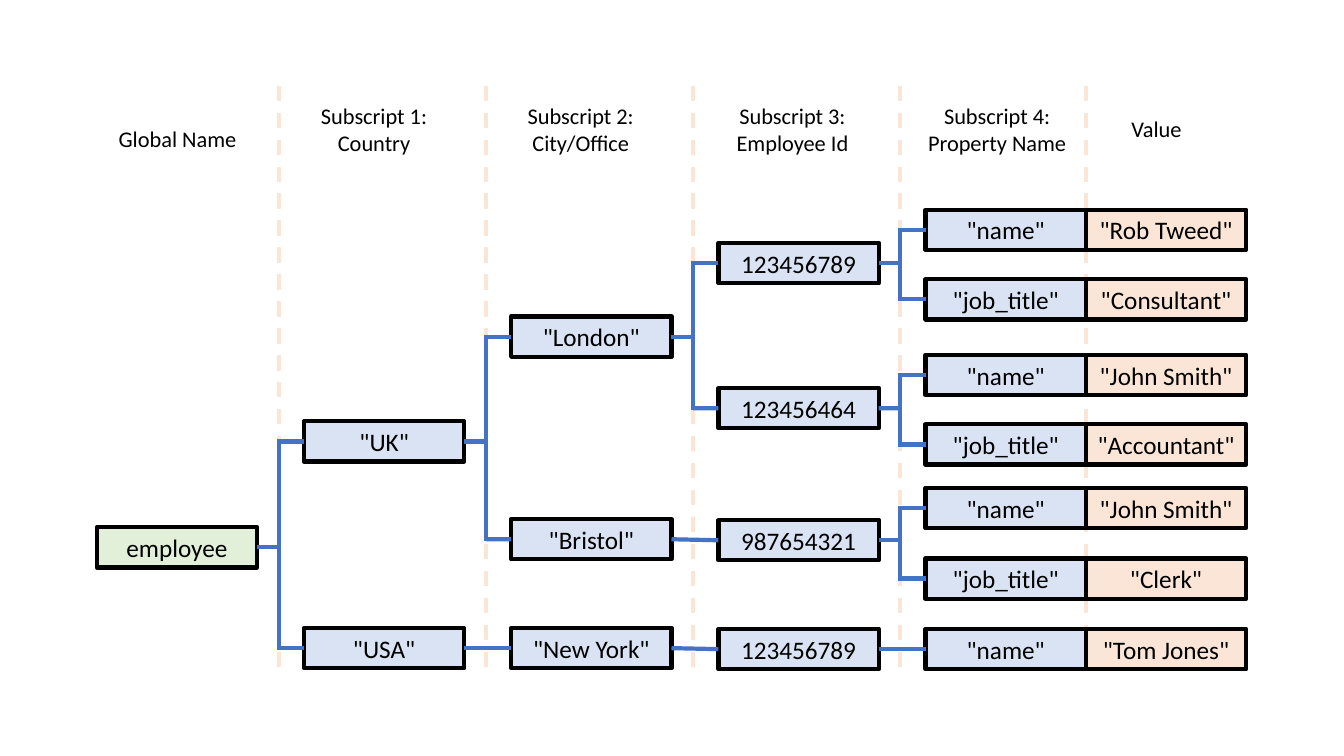
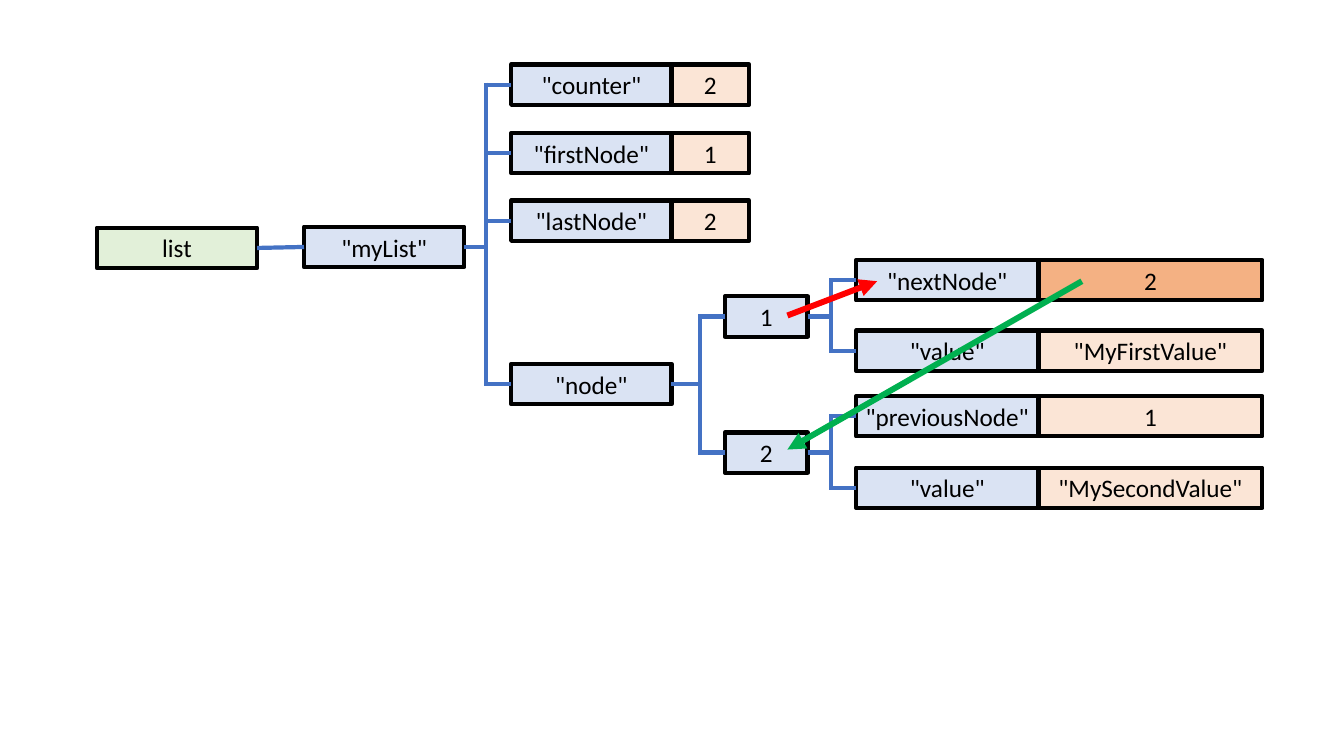
"""Build two tree diagrams of stored records: an employee global and a linked list."""
import dataclasses

import pptx
import pptx.dml.color
import pptx.enum.dml
import pptx.enum.shapes
import pptx.enum.text
import pptx.oxml
import pptx.oxml.ns
import pptx.util


@dataclasses.dataclass
class Theme:
    font: str = "Calibri"
    header_size: int = 16
    box_size: int = 18
    ink: str = "000000"
    root: str = "E2F0D9"
    key: str = "DAE3F3"
    value: str = "FBE5D6"
    marked: str = "F4B183"
    link: str = "4472C4"
    red: str = "FF0000"
    green: str = "00B050"
    line: float = 3
    divider: float = 2.75
    arrow: float = 4.25


@dataclasses.dataclass
class Node:
    label: str
    y: float
    kids: tuple = ()
    value: str = ""
    value_fill: str = Theme.value


WIDTH, HEIGHT = 13.33, 7.5
BOX_H, BOX_W, PITCH, TRUNK_GAP = 0.4, 1.59, 2.055, 0.25
GRID = [(0.96 + PITCH * i, BOX_W) for i in range(5)]

EMPLOYEES = {
    "columns": GRID,
    "value_widths": {4: BOX_W},
    "tree": Node("employee", 5.43, (
        Node('"UK"', 4.38, (
            Node('"London"', 3.34, (
                Node("123456789", 2.61, (
                    Node('"name"', 2.28, value='"Rob Tweed"'),
                    Node('"job_title"', 2.97, value='"Consultant"'))),
                Node("123456464", 4.05, (
                    Node('"name"', 3.72, value='"John Smith"'),
                    Node('"job_title"', 4.41, value='"Accountant"'))))),
            Node('"Bristol"', 5.35, (
                Node("987654321", 5.36, (
                    Node('"name"', 5.04, value='"John Smith"'),
                    Node('"job_title"', 5.74, value='"Clerk"'))),)))),
        Node('"USA"', 6.43, (
            Node('"New York"', 6.43, (
                Node("123456789", 6.44, (
                    Node('"name"', 6.44, value='"Tom Jones"'),)),)),)))),
}

LINKED_LIST = {
    "columns": GRID[:3] + [(7.19, 0.82), (8.49, 1.81)],
    "value_widths": {2: 0.77, 4: 2.22},
    "tree": Node("list", 2.46, (
        Node('"myList"', 2.45, (
            Node('"counter"', 0.84, value="2"),
            Node('"firstNode"', 1.52, value="1"),
            Node('"lastNode"', 2.19, value="2"),
            Node('"node"', 3.81, (
                Node("1", 3.14, (
                    Node('"nextNode"', 2.78, value="2", value_fill=Theme.marked),
                    Node('"value"', 3.48, value='"MyFirstValue"'))),
                Node("2", 4.49, (
                    Node('"previousNode"', 4.13, value="1"),
                    Node('"value"', 4.84, value='"MySecondValue"'))))))),)),
}

HEADERS = [
    (1.76, 1.37, "Global Name"),
    (3.71, 1.28, "Subscript 1:\nCountry"),
    (5.76, 1.28, "Subscript 2:\nCity/Office"),
    (7.86, 1.28, "Subscript 3:\nEmployee Id"),
    (9.89, 1.28, "Subscript 4:\nProperty Name"),
    (11.47, 1.28, "Value"),
]
DIVIDER_TOP, DIVIDER_BOTTOM = 0.85, 6.7
POINTERS = [
    ((7.81, 3.13), (8.7, 2.79), Theme.red),
    ((10.73, 2.79), (7.81, 4.46), Theme.green),
]


def rgb(color):
    """Turn a hex string into a colour."""
    return pptx.dml.color.RGBColor.from_string(color)


def write(sp, text, size):
    """Put centred text into a shape."""
    tf = sp.text_frame
    tf.text = text
    tf.word_wrap = False
    tf.vertical_anchor = pptx.enum.text.MSO_ANCHOR.MIDDLE
    for p in tf.paragraphs:
        p.alignment = pptx.enum.text.PP_ALIGN.CENTER
        p.font.name = Theme.font
        p.font.size = pptx.util.Pt(size)
        p.font.color.rgb = rgb(Theme.ink)


def box(slide, left, y, width, text, fill):
    """Draw an outlined box centred on height y."""
    sp = slide.shapes.add_shape(
        pptx.enum.shapes.MSO_SHAPE.RECTANGLE,
        *map(pptx.util.Inches, (left, y - BOX_H / 2, width, BOX_H)))
    sp.shadow.inherit = False
    sp.fill.solid()
    sp.fill.fore_color.rgb = rgb(fill)
    sp.line.color.rgb = rgb(Theme.ink)
    sp.line.width = pptx.util.Pt(Theme.line)
    write(sp, text, Theme.box_size)
    return sp


def line(slide, start, end, color=Theme.link, width=Theme.line, dash=False, arrow=False):
    """Draw a straight line without shadow."""
    c = slide.shapes.add_connector(
        pptx.enum.shapes.MSO_CONNECTOR.STRAIGHT, *map(pptx.util.Inches, (*start, *end)))
    c.line.color.rgb = rgb(color)
    c.line.width = pptx.util.Pt(width)
    if dash:
        c.line.dash_style = pptx.enum.dml.MSO_LINE.DASH
    sp_pr = c.element.spPr
    qn = pptx.oxml.ns.qn
    if arrow:
        ln = sp_pr.find(qn("a:ln"))
        ln.append(ln.makeelement(qn("a:tailEnd"), {"type": "triangle"}))
    sp_pr.append(sp_pr.makeelement(qn("a:effectLst"), {}))
    return c


def draw_tree(slide, diagram, node, depth=0):
    """Draw a node, its value and its subtree, and return the node's box."""
    left, width = diagram["columns"][depth]
    right = left + width
    sp = box(slide, left, node.y, width, node.label, Theme.key if depth else Theme.root)
    if node.value:
        box(slide, right, node.y, diagram["value_widths"][depth], node.value, node.value_fill)
    if not node.kids:
        return sp
    kids = [draw_tree(slide, diagram, kid, depth + 1) for kid in node.kids]
    kid_left = diagram["columns"][depth + 1][0]
    if len(kids) == 1:
        c = line(slide, (right, node.y), (kid_left, node.kids[0].y))
        c.begin_connect(sp, 3)
        c.end_connect(kids[0], 1)
        return sp
    trunk = kid_left - TRUNK_GAP
    line(slide, (right, node.y), (trunk, node.y)).begin_connect(sp, 3)
    overlap = Theme.line / 144
    line(slide, (trunk, node.kids[0].y - overlap), (trunk, node.kids[-1].y + overlap))
    for kid, kid_sp in zip(node.kids, kids):
        line(slide, (trunk, kid.y), (kid_left, kid.y)).end_connect(kid_sp, 1)
    return sp


def draw_headers(slide):
    """Draw the column headings and the dashed dividers."""
    dividers = [left - TRUNK_GAP for left, _ in GRID[1:]] + [sum(GRID[-1])]
    for x in dividers:
        line(slide, (x, DIVIDER_TOP), (x, DIVIDER_BOTTOM), Theme.value, Theme.divider, dash=True)
    for x, y, text in HEADERS:
        height = 0.37 + 0.27 * text.count("\n")
        sp = slide.shapes.add_textbox(
            *map(pptx.util.Inches, (x - BOX_W / 2, y - height / 2, BOX_W, height)))
        write(sp, text, Theme.header_size)


def main():
    """Build and save the presentation."""
    prs = pptx.Presentation()
    prs.slide_width, prs.slide_height = map(pptx.util.Inches, (WIDTH, HEIGHT))
    blank = prs.slide_layouts[6]

    slide = prs.slides.add_slide(blank)
    draw_headers(slide)
    draw_tree(slide, EMPLOYEES, EMPLOYEES["tree"])

    slide = prs.slides.add_slide(blank)
    draw_tree(slide, LINKED_LIST, LINKED_LIST["tree"])
    for start, end, color in POINTERS:
        line(slide, start, end, color, Theme.arrow, arrow=True)

    prs.save("out.pptx")


if __name__ == "__main__":
    main()
